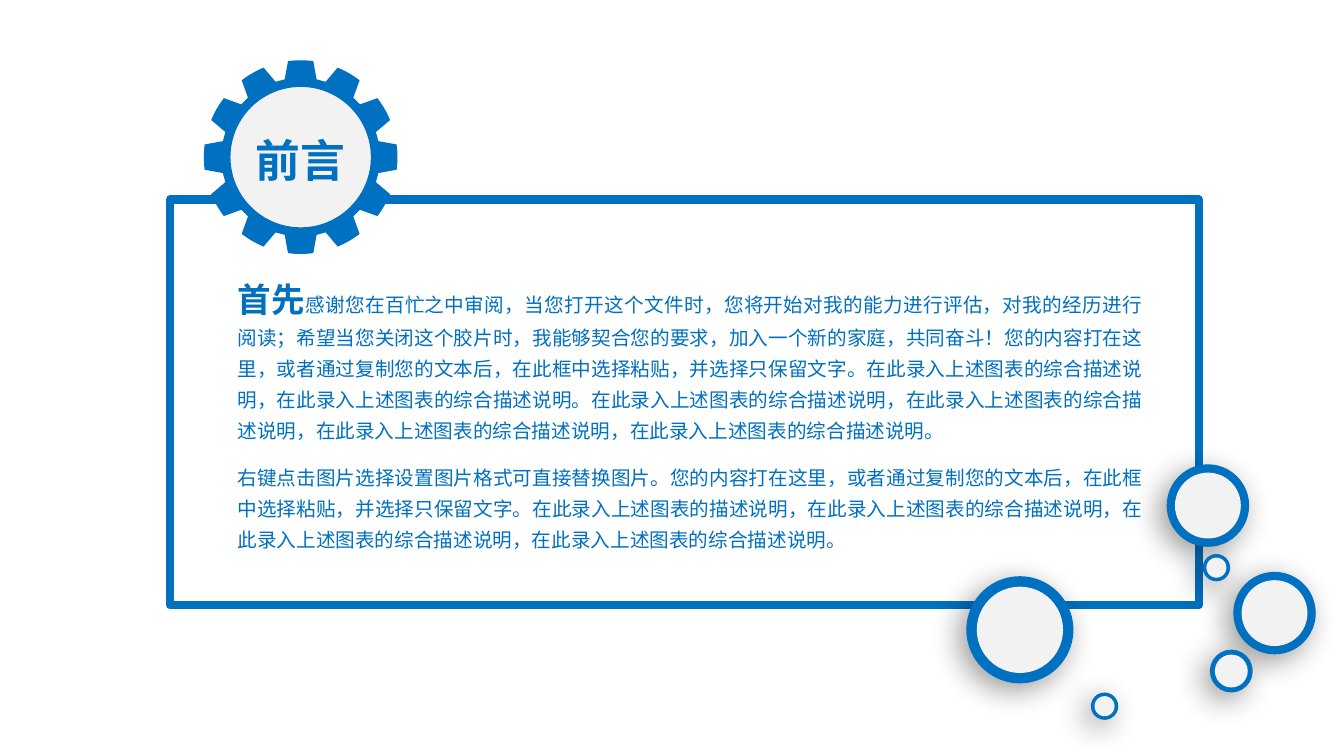
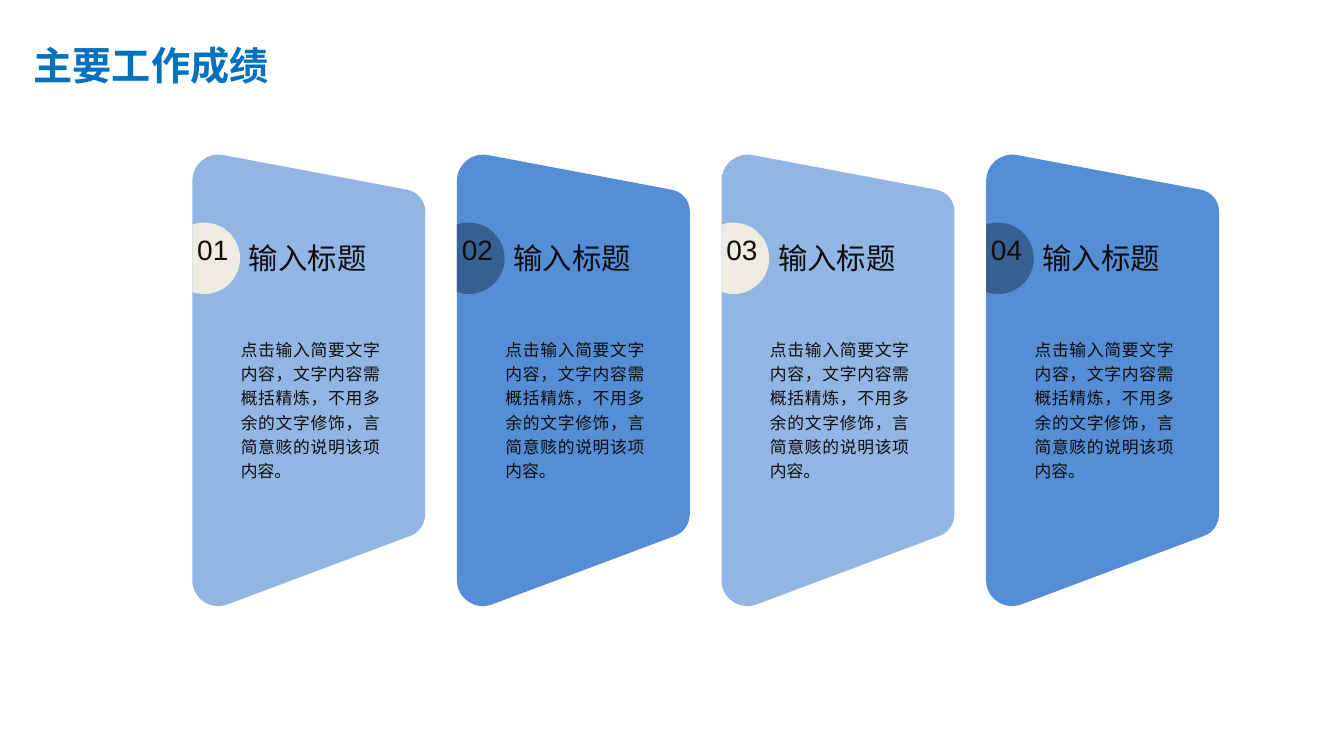
"""Builds a foreword slide and a slide of four work results."""
from itertools import pairwise
from math import acos, cos, pi, radians, sin, tan

from lxml.etree import SubElement
from pptx import Presentation
from pptx.dml.color import RGBColor
from pptx.enum.shapes import MSO_SHAPE
from pptx.enum.text import MSO_ANCHOR, MSO_AUTO_SIZE, PP_ALIGN
from pptx.oxml.ns import qn
from pptx.util import Cm, Pt

COLORS = {
    "blue": "0070C0",
    "light": "F2F2F2",
    "card": "558ED5",
    "cream": "EEECE1",
    "navy": "376092",
    "ink": "0D0D0D",
    "shadow": "000000",
}
CJK = "Noto Sans CJK SC"
FONTS = {
    "foreword": ({"name": CJK, "size": Pt(32), "bold": True}, "blue"),
    "title": ({"name": CJK, "size": Pt(28), "bold": True}, "blue"),
    "lead": ({"name": CJK, "size": Pt(24), "bold": True}, "blue"),
    "body": ({"name": CJK, "size": Pt(14), "bold": False}, "blue"),
    "number": ({"name": "Arial", "size": Pt(20)}, "ink"),
    "heading": ({"name": CJK, "size": Pt(21)}, "ink"),
    "summary": ({"name": CJK, "size": Pt(12)}, "ink"),
}
LEFT = {"alignment": PP_ALIGN.LEFT}
CENTER = {"alignment": PP_ALIGN.CENTER}
BODY = {"alignment": PP_ALIGN.JUSTIFY, "line_spacing": Pt(22), "space_after": Pt(12)}
SUMMARY = {"alignment": PP_ALIGN.JUSTIFY, "line_spacing": Pt(17.4)}
NO_INSET, TITLE_INSET, TEXT_INSET = (0, 0), (0.25, 0.13), (0.33, 0.18)

FOREWORD = [
    [
        ("首先", "lead"),
        ("感谢您在百忙之中审阅，当您打开这个文件时，您将开始对我的能力进行评估，对我的经历进行阅读；"
         "希望当您关闭这个胶片时，我能够契合您的要求，加入一个新的家庭，共同奋斗！"
         "您的内容打在这里，或者通过复制您的文本后，在此框中选择粘贴，并选择只保留文字。"
         "在此录入上述图表的综合描述说明，在此录入上述图表的综合描述说明。"
         "在此录入上述图表的综合描述说明，在此录入上述图表的综合描述说明，"
         "在此录入上述图表的综合描述说明，在此录入上述图表的综合描述说明。", "body"),
    ],
    [
        ("右键点击图片选择设置图片格式可直接替换图片。"
         "您的内容打在这里，或者通过复制您的文本后，在此框中选择粘贴，并选择只保留文字。"
         "在此录入上述图表的描述说明，在此录入上述图表的综合描述说明，"
         "在此录入上述图表的综合描述说明，在此录入上述图表的综合描述说明。", "body"),
    ],
]
BUBBLES = [
    (31.13, 14.45, 2),
    (30.54, 16.41, 1),
    (24.4, 14.56, 2.62),
    (27.54, 17.49, 0.61),
    (29.45, 11.74, 2),
    (30.36, 14, 0.61),
]
BUBBLE_CORE = 0.83

CARD_TEXT = "点击输入简要文字内容，文字内容需概括精炼，不用多余的文字修饰，言简意赅的说明该项内容。"
CARDS = [(number, "输入标题", CARD_TEXT) for number in ("01", "02", "03", "04")]
CARD_STYLES = [("cream", 64), ("navy", None)]
CARD_LEFT, CARD_TOP, CARD_STEP = 4.85, 3.83, 6.67
CARD_CORNERS = [
    [(5.41, 0.95), (5.68, 1), (5.87, 1.23), (5.87, 1.5)],
    [(5.87, 9.12), (5.87, 9.38), (5.71, 9.6), (5.48, 9.68)],
    [(0.89, 11.4), (0.46, 11.56), (0, 11.25), (0, 10.8)],
    [(0, 0.74), (0, 0.3), (0.38, 0), (0.79, 0.08)],
]
BADGE_X, BADGE_Y, BADGE_RADIUS = 0.3, 6.51, 0.9

GEAR_X, GEAR_Y, GEAR_TEETH = 7.58, 3.96, 12
ROOT_RADIUS, TIP_RADIUS, ROOT_TURN, TIP_TURN = 2, 2.44, 11.6, 7.5
HUB = 3.61


def color(name):
    return RGBColor.from_string(COLORS[name])


def paint(shape, fill=None, line=None, width=0):
    shape.shadow.inherit = False
    if fill:
        shape.fill.solid()
        shape.fill.fore_color.rgb = color(fill)
    else:
        shape.fill.background()
    if line:
        shape.line.color.rgb = color(line)
        shape.line.width = Pt(width)
    else:
        shape.line.fill.background()
    return shape


def add_preset(page, kind, area, **look):
    return paint(page.shapes.add_shape(kind, *map(Cm, area)), **look)


def add_circle(page, x, y, size, **look):
    return add_preset(page, MSO_SHAPE.OVAL, (x - size / 2, y - size / 2, size, size), **look)


def add_outline(page, start, segments, fill):
    """Draws segments of one point as lines and of three points as curves."""
    builder = page.shapes.build_freeform(*map(Cm, start))
    builder.add_line_segments([(Cm(x), Cm(y)) for segment in segments for x, y in segment], close=True)
    shape = builder.convert_to_shape()
    steps = iter(list(shape.element.iter(qn("a:lnTo"))))
    for segment in segments:
        first, *others = [next(steps) for point in segment]
        if others:
            first.tag = qn("a:cubicBezTo")
            for step in others:
                first.append(step[0])
                step.getparent().remove(step)
    return paint(shape, fill)


def set_alpha(shape, percent):
    tint = shape.element.spPr.find(qn("a:solidFill")).find(qn("a:srgbClr"))
    SubElement(tint, qn("a:alpha"), val=str(percent * 1000))


def cast_shadow(shape):
    effects = shape.element.spPr.find(qn("a:effectLst"))
    shadow = SubElement(effects, qn("a:outerShdw"), blurRad=str(Pt(22)), dist=str(Pt(7)),
                        dir=str(135 * 60000), algn="ctr", rotWithShape="0")
    tint = SubElement(shadow, qn("a:srgbClr"), val=COLORS["shadow"])
    SubElement(tint, qn("a:alpha"), val="40000")


def write(box, paragraphs, layout, insets, wrap=True):
    frame = box.text_frame
    across, down = map(Cm, insets)
    settings = {"word_wrap": wrap, "auto_size": MSO_AUTO_SIZE.NONE, "vertical_anchor": MSO_ANCHOR.TOP,
                "margin_left": across, "margin_right": across, "margin_top": down, "margin_bottom": down}
    for key, value in settings.items():
        setattr(frame, key, value)
    for index, pieces in enumerate(paragraphs):
        para = frame.add_paragraph() if index else frame.paragraphs[0]
        for key, value in layout.items():
            setattr(para, key, value)
        for text, style in pieces:
            span = para.add_run()
            span.text = text
            font_format, tone = FONTS[style]
            for key, value in font_format.items():
                setattr(span.font, key, value)
            span.font.color.rgb = color(tone)
            SubElement(span._r.get_or_add_rPr(), qn("a:ea"), typeface=font_format["name"])


def add_text(page, area, paragraphs, layout, insets, wrap=True):
    write(page.shapes.add_textbox(*map(Cm, area)), paragraphs, layout, insets, wrap)


def set_title(page, area, text, style, layout, insets):
    title = page.shapes.title
    for key, value in zip(("left", "top", "width", "height"), area):
        setattr(title, key, Cm(value))
    write(title, [[(text, style)]], layout, insets)
    page.shapes.element.append(title.element)


def polar(x, y, radius, angle):
    return x + radius * cos(angle), y + radius * sin(angle)


def arc(x, y, radius, start, end):
    handle = 4 / 3 * tan((end - start) / 4) * radius
    (x1, y1), (x2, y2) = (polar(x, y, radius, angle) for angle in (start, end))
    return [(x1 - handle * sin(start), y1 + handle * cos(start)),
            (x2 + handle * sin(end), y2 - handle * cos(end)), (x2, y2)]


def add_gear(page):
    segments = []
    for tooth in range(GEAR_TEETH):
        middle = tooth * 360 / GEAR_TEETH
        root_in, tip_in, tip_out, root_out = (
            radians(middle + turn) for turn in (-ROOT_TURN, -TIP_TURN, TIP_TURN, ROOT_TURN))
        segments += [[polar(GEAR_X, GEAR_Y, ROOT_RADIUS, root_in)],
                     [polar(GEAR_X, GEAR_Y, TIP_RADIUS, tip_in)],
                     arc(GEAR_X, GEAR_Y, TIP_RADIUS, tip_in, tip_out),
                     [polar(GEAR_X, GEAR_Y, ROOT_RADIUS, root_out)]]
    gear = add_outline(page, segments[0][0], segments[1:], "blue")
    hub = add_circle(page, GEAR_X, GEAR_Y, HUB, fill="light", line="blue", width=2)
    page.shapes.add_group_shape([gear, hub])


def add_bubble(page, left, top, size):
    x, y = left + size / 2, top + size / 2
    rim = add_circle(page, x, y, size, fill="blue", line="blue", width=2.25)
    cast_shadow(rim)
    core = add_circle(page, x, y, size * BUBBLE_CORE, fill="light")
    page.shapes.add_group_shape([rim, core])


def build_foreword(page):
    add_preset(page, MSO_SHAPE.RECTANGLE, (4.29, 5.03, 25.93, 10.22), line="blue", width=6)
    add_text(page, (5.66, 7.08, 23.48, 7.04), FOREWORD, BODY, TEXT_INSET)
    add_gear(page)
    set_title(page, (5.51, 3.34, 4.14, 1.37), "前言", "foreword", CENTER, NO_INSET)
    for bubble in BUBBLES:
        add_bubble(page, *bubble)


def add_card(page, left, content, badge_color, alpha):
    number, heading, summary = content
    corners = [[(left + x, CARD_TOP + y) for x, y in corner] for corner in CARD_CORNERS]
    sides = [part for corner in corners for part in (corner[:1], corner[1:])]
    card = add_outline(page, corners[-1][-1], sides, "card")
    if alpha:
        set_alpha(card, alpha)
    center = (left + BADGE_X, BADGE_Y, BADGE_RADIUS)
    reach = pi - acos(BADGE_X / BADGE_RADIUS)
    turns = [-reach, -pi / 2, 0, pi / 2, reach]
    add_outline(page, polar(*center, -reach), [arc(*center, *pair) for pair in pairwise(turns)], badge_color)
    add_text(page, (left + 0.12, 5.87, 0.79, 0.86), [[(number, "number")]], CENTER, NO_INSET, False)
    add_text(page, (left + 0.89, 8.27, 4.17, 4.04), [[(summary, "summary")]], SUMMARY, TEXT_INSET)
    add_text(page, (left + 1.04, 5.87, 3.73, 1.24), [[(heading, "heading")]], CENTER, TEXT_INSET, False)


def build_results(page):
    for index, content in enumerate(CARDS):
        add_card(page, CARD_LEFT + index * CARD_STEP, content, *CARD_STYLES[index % 2])
    set_title(page, (0.6, 0.91, 9.4, 1.45), "主要工作成绩", "title", LEFT, TITLE_INSET)


def main():
    deck = Presentation()
    deck.slide_width, deck.slide_height = Cm(33.88), Cm(19.05)
    for build in (build_foreword, build_results):
        build(deck.slides.add_slide(deck.slide_layouts[5]))
    deck.save("out.pptx")


if __name__ == "__main__":
    main()
